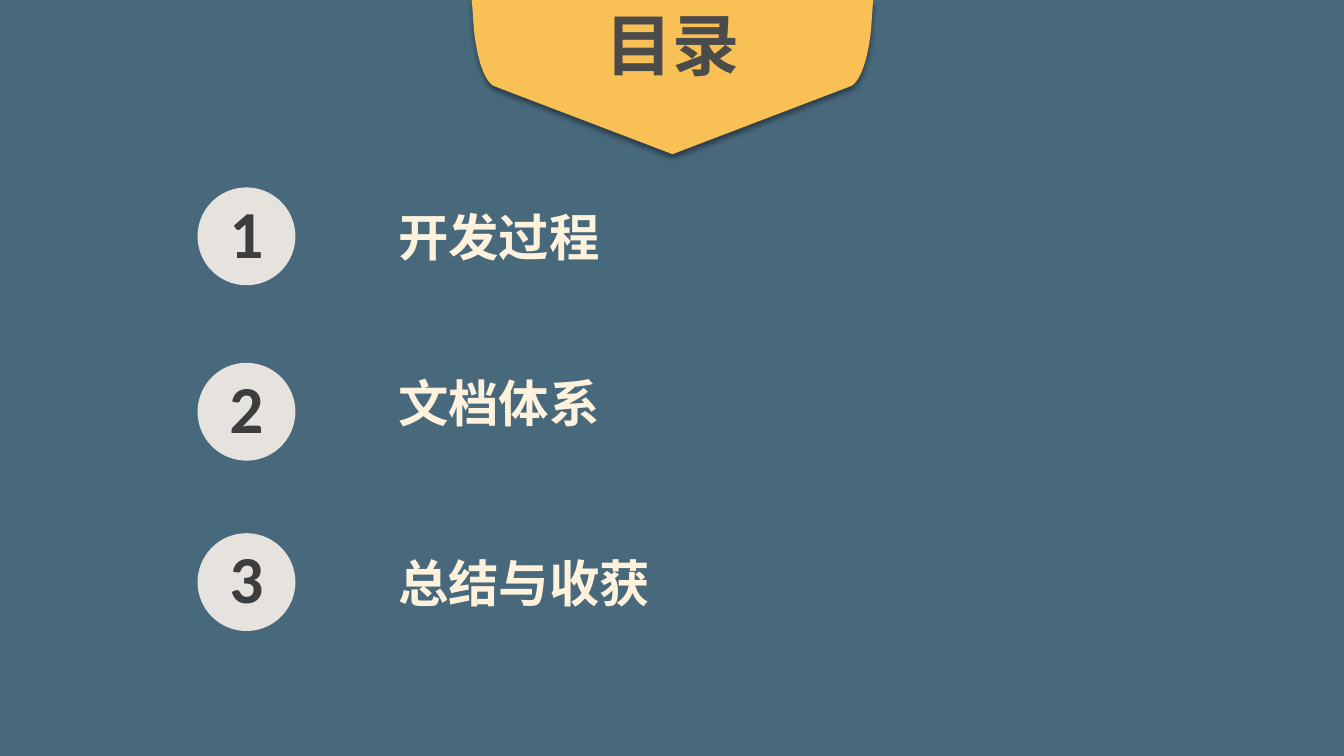
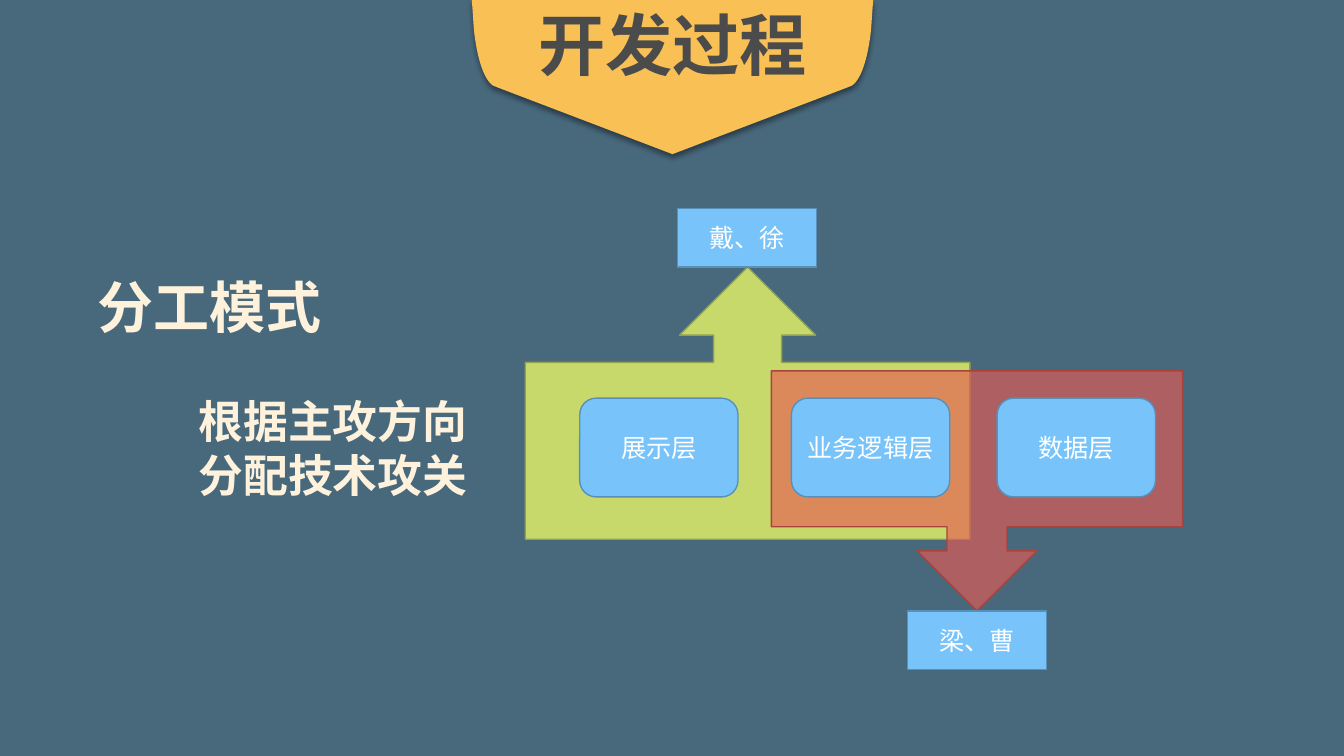
from lxml import etree
from pptx import Presentation
from pptx.dml.color import RGBColor
from pptx.enum.shapes import MSO_SHAPE
from pptx.enum.text import MSO_ANCHOR, PP_ALIGN
from pptx.oxml.ns import qn
from pptx.util import Inches, Pt

OVAL, RECT, ROUND = MSO_SHAPE.OVAL, MSO_SHAPE.RECTANGLE, MSO_SHAPE.ROUNDED_RECTANGLE
UP, DOWN = MSO_SHAPE.UP_ARROW_CALLOUT, MSO_SHAPE.DOWN_ARROW_CALLOUT
CENTER, LEFT, MIDDLE, TOP = PP_ALIGN.CENTER, PP_ALIGN.LEFT, MSO_ANCHOR.MIDDLE, MSO_ANCHOR.TOP
LATIN, CJK = "Calibri", "Noto Sans CJK SC"
SLATE, GOLD, CREAM, STONE = "48687C", "F8C055", "FEF2DD", "E6E2DE"
CHARCOAL, TITLE_GREY, WHITE = "3D3D3D", "4C4B4B", "FFFFFF"
SKY, SKY_EDGE = "77C3FA", "5890B9"
LIME, LIME_EDGE, RED, RED_EDGE = "C7D96B", "93A14F", "E75B53", "AB433D"


def rgb(value):
    """Return the colour for a hex string."""
    return RGBColor.from_string(value)


def paint(sp, fill, line=None, alpha=None):
    """Set a shape's fill, outline and opacity in percent, without a shadow."""
    sp.shadow.inherit = False
    sp.fill.solid()
    sp.fill.fore_color.rgb = rgb(fill)
    if alpha:
        color = sp.fill._xPr.find(qn("a:solidFill"))[0]
        etree.SubElement(color, qn("a:alpha"), val=str(alpha * 1000))
    if line:
        sp.line.color.rgb = rgb(line)
        sp.line.width = Pt(1)
    else:
        sp.line.fill.background()


def style(p, size, color, font=LATIN, bold=False, align=LEFT, spacing=None):
    """Set the font and alignment of a paragraph."""
    p.alignment, p.line_spacing = align, spacing
    p.font.size, p.font.bold, p.font.name = Pt(size), bold, font
    p.font.color.rgb = rgb(color)
    ea = etree.SubElement(p._p.pPr.find(qn("a:defRPr")), qn("a:ea"))
    ea.set("typeface", CJK)


def add_shape(s, kind, box, fill, line=None, alpha=None):
    """Add a painted preset shape in a box given in inches."""
    sp = s.shapes.add_shape(kind, *map(Inches, box))
    paint(sp, fill, line, alpha)
    return sp


def add_label(sp, text, size, color, **kwargs):
    """Write one centred line in a shape."""
    sp.text_frame.vertical_anchor = MIDDLE
    p = sp.text_frame.paragraphs[0]
    p.text = text
    style(p, size, color, align=CENTER, **kwargs)


def add_text(s, box, lines):
    """Add a wrapping text box of (text, style options) and return its paragraphs."""
    tf = s.shapes.add_textbox(*map(Inches, box)).text_frame
    tf.word_wrap, tf.vertical_anchor = True, TOP
    for i, (text, options) in enumerate(lines):
        p = tf.add_paragraph() if i else tf.paragraphs[0]
        p.text = text
        style(p, **options)
    return tf.paragraphs


def bezier(points, steps=12):
    """Return the points along a cubic curve after its start."""
    weights = (1, 3, 3, 1)
    return [tuple(sum(weights[k] * (1 - t) ** (3 - k) * t ** k * points[k][axis]
                      for k in range(4)) for axis in (0, 1))
            for t in (i / steps for i in range(1, steps + 1))]


def add_banner(s, title, box=(4.68, 0, 3.98, 1.53)):
    """Draw the pennant with the slide title."""
    x, y, w, h = box
    curve = [(0.02, 0.29), (0.05, 0.58), (0.12, 0.79), (0.21, 0.85)]
    side = [(0, 0), curve[0], *bezier(curve), (0.26, 0.87)]
    outline = side + [(w / 2, h)] + [(w - dx, dy) for dx, dy in reversed(side)]
    points = [(Inches(x + dx), Inches(y + dy)) for dx, dy in outline]
    builder = s.shapes.build_freeform(*points[0])
    builder.add_line_segments(points[1:])
    sp = builder.convert_to_shape()
    paint(sp, GOLD)
    shadow = etree.SubElement(sp._element.spPr.find(qn("a:effectLst")), qn("a:outerShdw"),
                              blurRad=str(Pt(4)), dist=str(Pt(3)), dir="5400000")
    color = etree.SubElement(shadow, qn("a:srgbClr"), val="000000")
    etree.SubElement(color, qn("a:alpha"), val="40000")
    options = dict(size=48, color=TITLE_GREY, bold=True, align=CENTER, spacing=0.9)
    add_text(s, (x - 0.05, y + 0.07, w + 0.1, 0.83), [(title, options)])


def add_entry(s, number, text, x, y, text_y):
    """Draw a numbered disc and its contents entry."""
    disc = add_shape(s, OVAL, (x, y, 0.97, 0.97), STONE)
    add_label(disc, str(number), 48, CHARCOAL, bold=True, spacing=0.9)
    options = dict(size=36, color=CREAM, font=CJK, bold=True)
    add_text(s, (x + 1.89, text_y, 6.82, 0.71), [(text, options)])


def add_work_mode(s, box):
    """Write the heading and its indented explanation."""
    heading = dict(size=40, color=CREAM, font=CJK, bold=True)
    detail = dict(heading, size=32)
    paragraphs = add_text(s, box, [("分工模式", heading), ("根据主攻方向", detail),
                                   ("分配技术攻关", detail)])
    paragraphs[1].space_before = Pt(39)
    for p in paragraphs[1:]:
        p._p.pPr.set("marL", str(Inches(1)))


def add_team_diagram(s, x, y):
    """Draw the layers, the callouts that group them and the teams in charge."""
    add_shape(s, UP, (x, y + 0.58, 4.41, 2.7), LIME, LIME_EDGE)
    add_shape(s, DOWN, (x + 2.44, y + 1.61, 4.08, 2.38), RED, RED_EDGE, 64)
    blocks = [("展示层", ROUND, 0.54, 1.88), ("业务逻辑层", ROUND, 2.64, 1.88),
              ("数据层", ROUND, 4.68, 1.88), ("戴、徐", RECT, 1.51, 0),
              ("梁、曹", RECT, 3.79, 3.99)]
    sizes = {ROUND: (1.57, 0.98), RECT: (1.38, 0.58)}
    for text, kind, dx, dy in blocks:
        sp = add_shape(s, kind, (x + dx, y + dy, *sizes[kind]), SKY, SKY_EDGE)
        add_label(sp, text, 18, WHITE)


def add_slide(prs, title):
    """Add a blank slide with the shared background and banner."""
    s = prs.slides.add_slide(prs.slide_layouts[6])
    s.background.fill.solid()
    s.background.fill.fore_color.rgb = rgb(SLATE)
    add_banner(s, title)
    return s


def add_contents_slide(prs):
    """Build the contents slide."""
    s = add_slide(prs, "目录")
    entries = [("开发过程", 1.86, 2), ("文档体系", 3.6, 3.64), ("总结与收获", 5.29, 5.43)]
    for number, (text, y, text_y) in enumerate(entries, 1):
        add_entry(s, number, text, 1.96, y, text_y)


def add_process_slide(prs):
    """Build the development process slide."""
    s = add_slide(prs, "开发过程")
    add_work_mode(s, (0.87, 2.65, 4.2, 2.93))
    add_team_diagram(s, 5.21, 2.07)


def main():
    """Build and save the presentation."""
    prs = Presentation()
    prs.slide_width, prs.slide_height = Inches(13.33), Inches(7.5)
    add_contents_slide(prs)
    add_process_slide(prs)
    prs.save("out.pptx")


if __name__ == "__main__":
    main()
